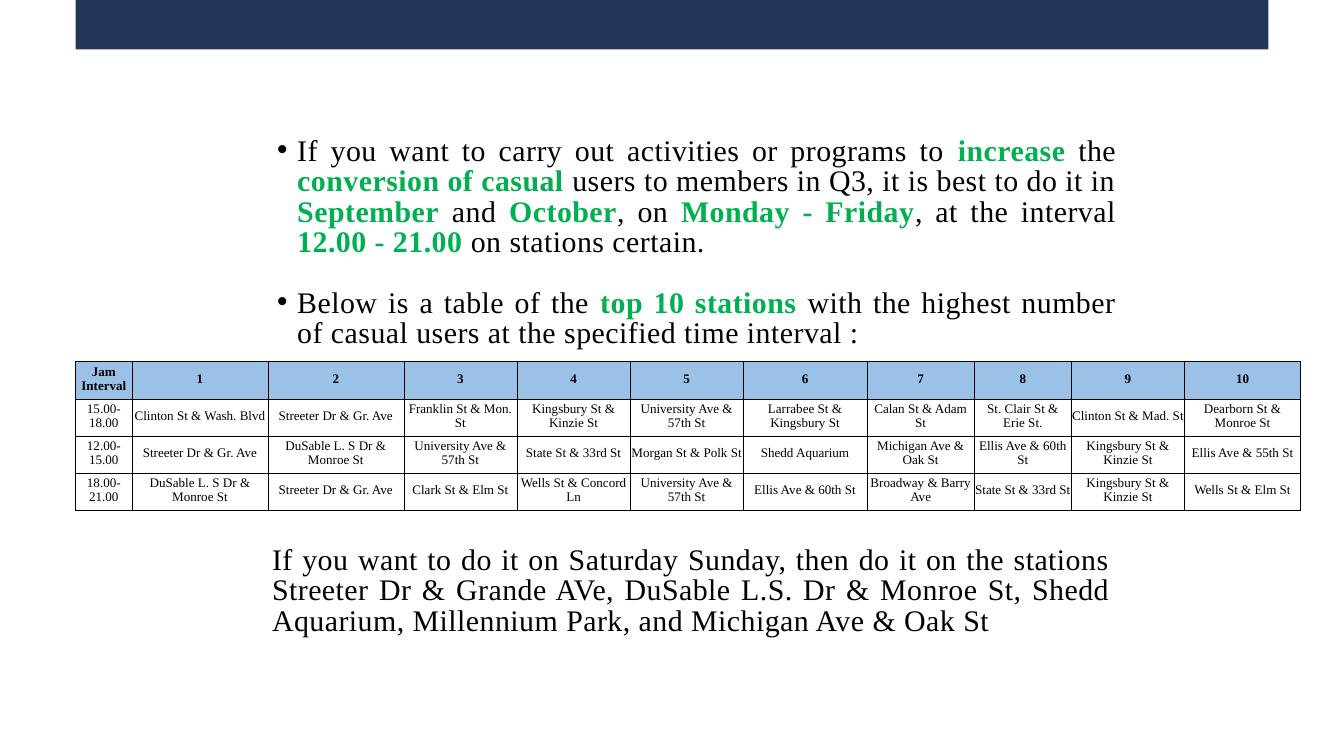
from lxml import etree
from pptx import Presentation
from pptx.dml.color import RGBColor
from pptx.enum.shapes import MSO_SHAPE
from pptx.enum.text import MSO_ANCHOR, MSO_AUTO_SIZE, PP_ALIGN
from pptx.oxml.ns import qn
from pptx.util import Pt

RECT = MSO_SHAPE.RECTANGLE
MIDDLE = MSO_ANCHOR.MIDDLE
GROW = MSO_AUTO_SIZE.SHAPE_TO_FIT_TEXT
CENTER, JUSTIFY = PP_ALIGN.CENTER, PP_ALIGN.JUSTIFY

FONT = "Times New Roman"
COLORS = {"bar": "213559", "text": "000000", "key": "00B050", "head": "9BC2E6"}
LINE = 32.5

# Words between bars are key words
ADVICE = [
    "If you want to carry out activities or programs to |increase| the "
    "|conversion of casual| users to members in Q3, it is best to do it in "
    "|September| and |October|, on |Monday - Friday|, at the interval "
    "|12.00 - 21.00| on stations certain.",
    "Below is a table of the |top 10 stations| with the highest number of "
    "casual users at the specified time interval :",
]
WEEKEND = [
    "If you want to do it on Saturday Sunday, then do it on the stations "
    "Streeter Dr & Grande AVe, DuSable L.S. Dr & Monroe St, Shedd Aquarium, "
    "Millennium Park, and Michigan Ave & Oak St",
]
WIDTHS = [60.5, 145.5, 145.5, 121.5, 121, 121.2, 132.5, 115.2, 103.7, 121.5, 124]
ROWS = [
    ["Jam Interval"] + [str(n) for n in range(1, 11)],
    ["15.00-18.00", "Clinton St & Wash. Blvd", "Streeter Dr & Gr. Ave",
     "Franklin St & Mon. St", "Kingsbury St & Kinzie St",
     "University Ave & 57th St", "Larrabee St & Kingsbury St",
     "Calan St & Adam St", "St. Clair St & Erie St.",
     "Clinton St & Mad. St", "Dearborn St & Monroe St"],
    ["12.00-15.00", "Streeter Dr & Gr. Ave", "DuSable L. S Dr & Monroe St",
     "University Ave & 57th St", "State St & 33rd St", "Morgan St & Polk St",
     "Shedd Aquarium", "Michigan Ave & Oak St", "Ellis Ave & 60th St",
     "Kingsbury St & Kinzie St", "Ellis Ave & 55th St"],
    ["18.00-21.00", "DuSable L. S Dr & Monroe St", "Streeter Dr & Gr. Ave",
     "Clark St & Elm St", "Wells St & Concord Ln",
     "University Ave & 57th St", "Ellis Ave & 60th St",
     "Broadway & Barry Ave", "State St & 33rd St",
     "Kingsbury St & Kinzie St", "Wells St & Elm St"],
]


def color(name):
    return RGBColor.from_string(COLORS[name])


def add_run(para, text, size, bold=False, tint="text"):
    run = para.add_run()
    run.text = text
    font = run.font
    font.name, font.size, font.bold = FONT, Pt(size), bold
    font.color.rgb = color(tint)
    return run


def add_bar(slide, box):
    bar = slide.shapes.add_shape(RECT, *map(Pt, box))
    bar.shadow.inherit = False
    bar.fill.solid()
    bar.fill.fore_color.rgb = color("bar")
    bar.line.fill.background()


def set_indent(para, left, first, bullet):
    props = para._p.get_or_add_pPr()
    props.set("marL", str(Pt(left)))
    props.set("indent", str(Pt(first)))
    if bullet:
        etree.SubElement(props, qn("a:buFont")).set("typeface", "Arial")
        etree.SubElement(props, qn("a:buChar")).set("char", "•")
    else:
        etree.SubElement(props, qn("a:buNone"))


def add_prose(slide, box, texts, left, first=0, bullet=False):
    frame = slide.shapes.add_textbox(*map(Pt, box)).text_frame
    frame.word_wrap = True
    frame.auto_size = GROW
    frame.margin_left = frame.margin_right = Pt(0)
    frame.margin_top = frame.margin_bottom = Pt(0)
    for i, text in enumerate(texts):
        para = frame.add_paragraph() if i else frame.paragraphs[0]
        set_indent(para, left, first, bullet)
        para.alignment = JUSTIFY
        para.line_spacing = Pt(LINE)
        if i:
            para.space_before = Pt(LINE)
        for j, part in enumerate(text.split("|")):
            key = j % 2 == 1
            run = add_run(para, part, 32, key, "key" if key else "text")
            run._r.get_or_add_rPr().set("spc", "50")


def add_borders(cell):
    props = cell._tc.get_or_add_tcPr()
    for side in ("lnL", "lnR", "lnT", "lnB"):
        edge = etree.SubElement(props, qn("a:" + side), w=str(Pt(0.5)))
        fill = etree.SubElement(edge, qn("a:solidFill"))
        etree.SubElement(fill, qn("a:srgbClr"), val=COLORS["text"])


def fill_cell(cell, text, head):
    add_borders(cell)
    if head:
        cell.fill.solid()
        cell.fill.fore_color.rgb = color("head")
    else:
        cell.fill.background()
    cell.vertical_anchor = MIDDLE
    cell.margin_left = cell.margin_right = cell.margin_top = Pt(0.7)
    cell.margin_bottom = Pt(3.6)
    para = cell.text_frame.paragraphs[0]
    para.alignment = CENTER
    add_run(para, text, 14, head)


def add_stations(slide, box):
    shape = slide.shapes.add_table(len(ROWS), len(WIDTHS), *map(Pt, box))
    table = shape.table
    for col, width in zip(table.columns, WIDTHS):
        col.width = Pt(box[2] * width / sum(WIDTHS))
    for r, row in enumerate(ROWS):
        table.rows[r].height = Pt(box[3] / len(ROWS))
        for c, text in enumerate(row):
            fill_cell(table.cell(r, c), text, r == 0)


def main():
    deck = Presentation()
    deck.slide_width, deck.slide_height = Pt(1440), Pt(810)
    slide = deck.slides.add_slide(deck.slide_layouts[6])

    # Top bar, advice, station table, weekend note
    add_bar(slide, (81, -53, 1278, 106))
    add_prose(slide, (276, 147, 920, 230), ADVICE, 42.5, -21.5, True)
    add_stations(slide, (81, 387.5, 1312.5, 159))
    add_prose(slide, (270, 585, 920, 98.5), WEEKEND, 21.5)

    deck.save("out.pptx")


if __name__ == "__main__":
    main()
